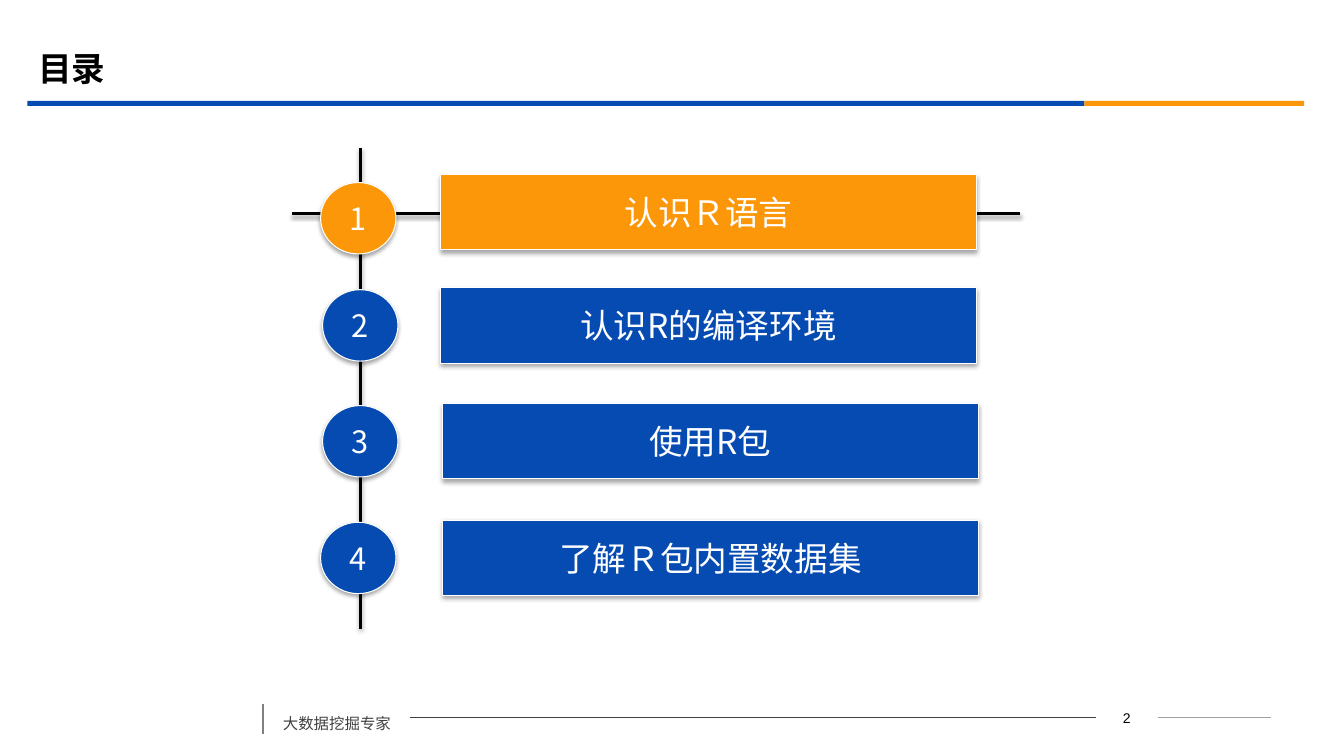
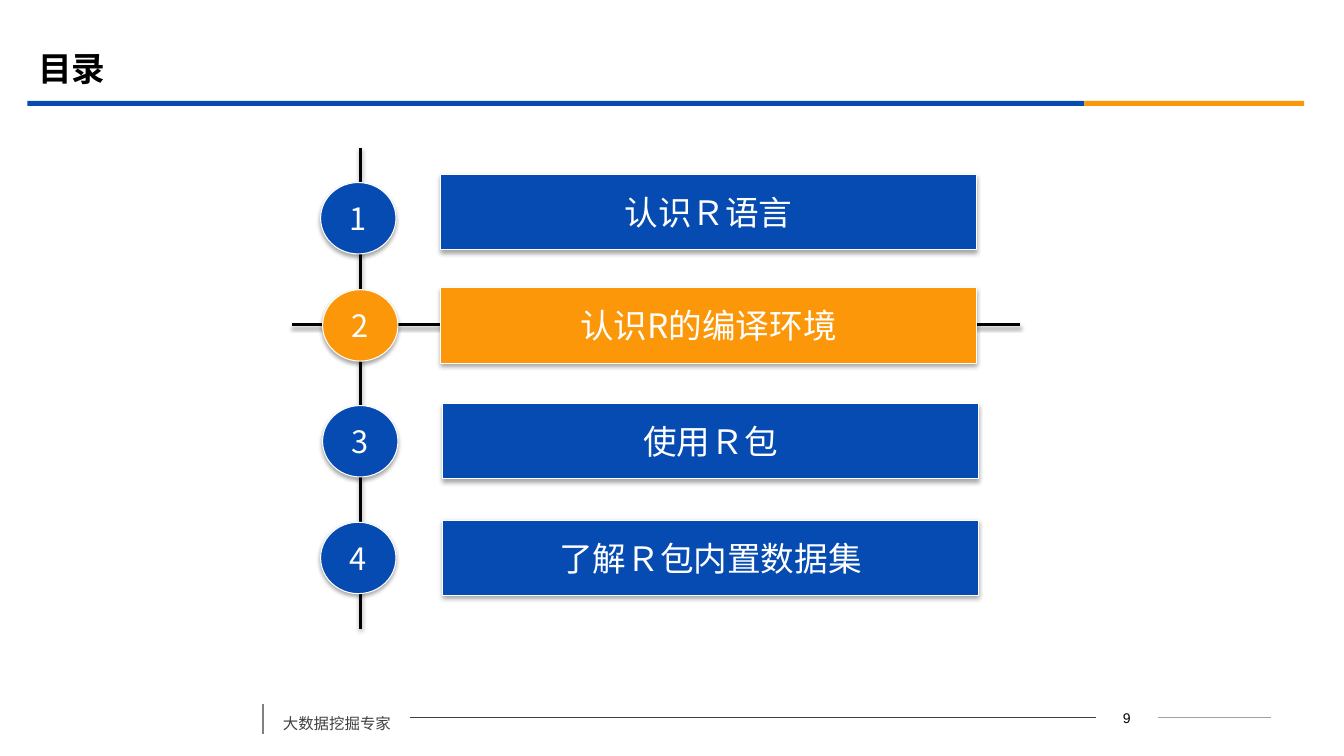
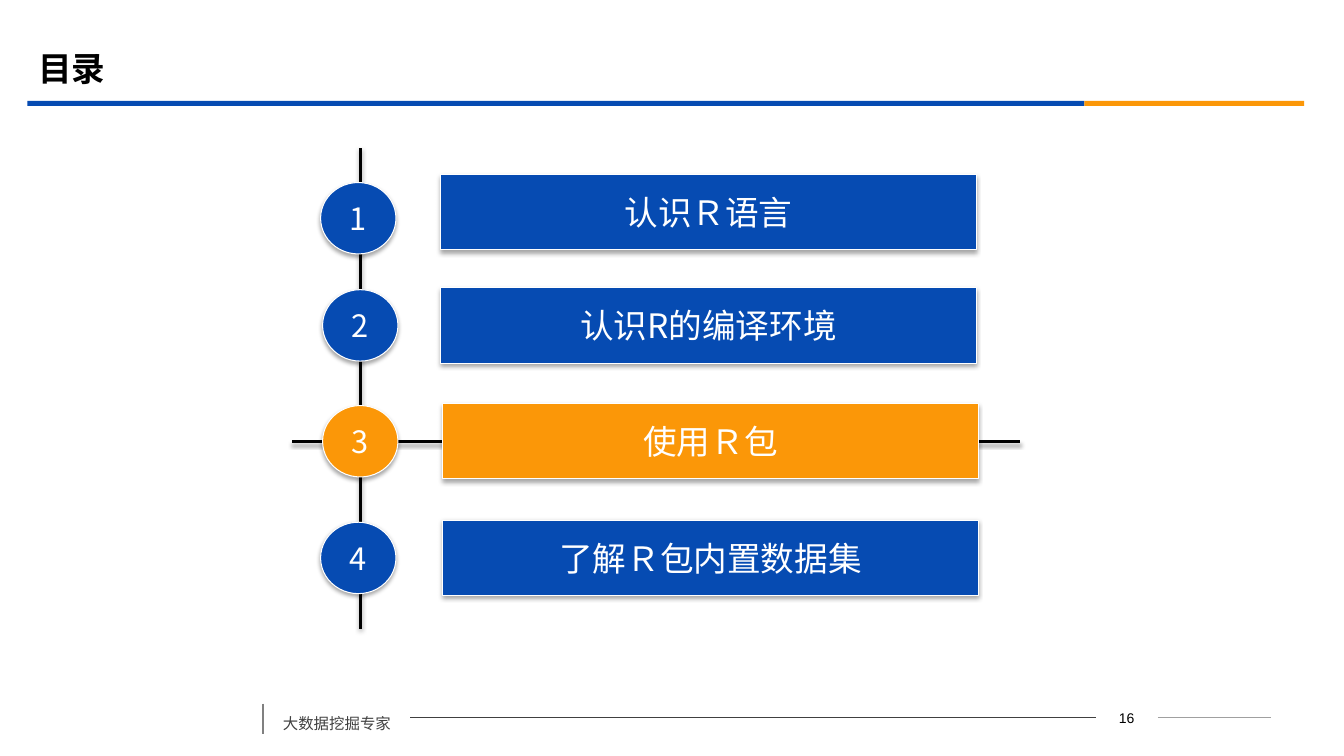
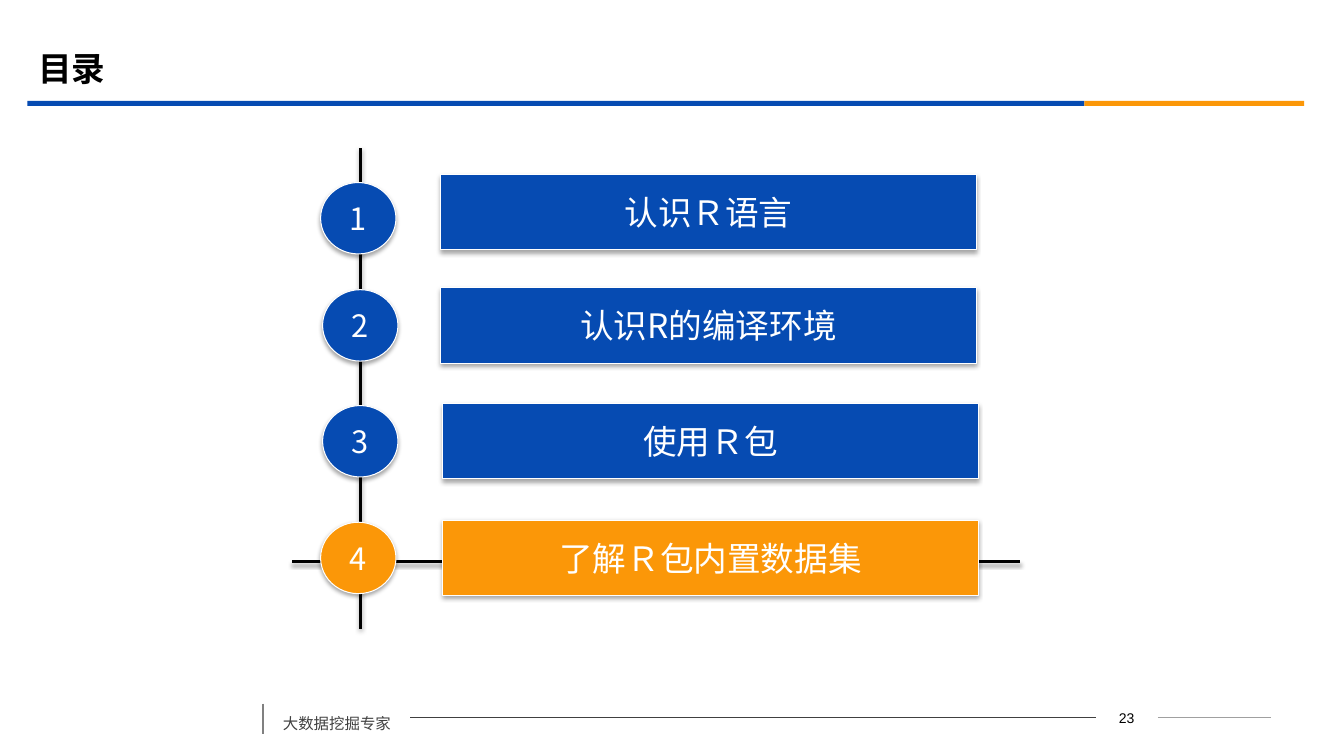
from lxml import etree
from pptx import Presentation
from pptx.dml.color import RGBColor
from pptx.enum.shapes import MSO_CONNECTOR, MSO_SHAPE
from pptx.enum.text import MSO_ANCHOR, MSO_AUTO_SIZE, PP_ALIGN
from pptx.oxml.ns import qn
from pptx.util import Cm, Pt

STRAIGHT = MSO_CONNECTOR.STRAIGHT
RECTANGLE = MSO_SHAPE.RECTANGLE
OVAL = MSO_SHAPE.OVAL
BUTTON = MSO_SHAPE.ACTION_BUTTON_CUSTOM
MIDDLE = MSO_ANCHOR.MIDDLE
LEFT = PP_ALIGN.LEFT
CENTER = PP_ALIGN.CENTER
FIT_SHAPE = MSO_AUTO_SIZE.SHAPE_TO_FIT_TEXT

BLUE, ORANGE, WHITE, BLACK = "064BB2", "FB9708", "FFFFFF", "000000"
DARK_GRAY, MID_GRAY, LIGHT_GRAY = "404040", "808080", "A0A0A0"
CHINESE_FONT = "Noto Sans CJK SC"
color = RGBColor.from_string


def write_text(shape, text, size, text_color, alignment, font_name=CHINESE_FONT):
    paragraph = shape.text_frame.paragraphs[0]
    paragraph.text = text
    paragraph.alignment = alignment
    font = paragraph.font
    font.size = Pt(size)
    font.color.rgb = color(text_color)
    font.name = font_name
    properties = paragraph._p.get_or_add_pPr().get_or_add_defRPr()
    etree.SubElement(properties, qn("a:ea"), typeface=font_name)
    return paragraph


def set_shadow(shape, opacity=0, distance=0):
    effects = etree.SubElement(shape._element.spPr, qn("a:effectLst"))
    if opacity:
        shadow = etree.SubElement(
            effects, qn("a:outerShdw"), blurRad=str(Pt(3.1)), dist=str(Pt(distance)),
            dir="5400000", rotWithShape="0")
        shadow_color = etree.SubElement(shadow, qn("a:srgbClr"), val=BLACK)
        etree.SubElement(shadow_color, qn("a:alpha"), val=str(opacity * 1000))


title_bands = [(0.69, 26.64, BLUE), (27.33, 5.54, ORANGE)]
footer_lines = [
    (29.18, 18.08, 32.03, 18.08, LIGHT_GRAY, 0.75),
    (10.34, 18.08, 27.61, 18.08, DARK_GRAY, 0.75),
    (6.63, 17.73, 6.63, 18.49, MID_GRAY, 1.25),
]
chapters = [
    ("认识Ｒ语言", 8.08, 4.6, 11.11, 4.4, 5.38),
    ("认识R的编译环境", 8.13, 7.3, 11.11, 7.25, 8.18),
    ("使用Ｒ包", 8.13, 10.22, 11.16, 10.17, 11.13),
    ("了解Ｒ包内置数据集", 8.08, 13.16, 11.16, 13.11, 14.15),
]
page_numbers = [2, 9, 16, 23]

presentation = Presentation()
presentation.slide_width = Cm(33.87)
presentation.slide_height = Cm(19.05)
title_only = presentation.slide_layouts[5]

for current, page_number in enumerate(page_numbers):
    slide = presentation.slides.add_slide(title_only)
    shapes = slide.shapes

    title = shapes.title
    title.left, title.top, title.width, title.height = Cm(0.71), Cm(0.99), Cm(30.48), Cm(1.47)
    title.text_frame.vertical_anchor = MIDDLE
    write_text(title, "目录", 24, BLACK, LEFT).font.bold = True

    for left, width, band_color in title_bands:
        band = shapes.add_shape(RECTANGLE, Cm(left), Cm(2.54), Cm(width), Cm(0.13))
        band.shadow.inherit = False
        band.fill.solid()
        band.fill.fore_color.rgb = color(band_color)
        band.line.fill.background()

    number_box = shapes.add_textbox(Cm(27.61), Cm(17.75), Cm(1.57), Cm(0.64))
    number_box.text_frame.word_wrap = True
    write_text(number_box, str(page_number), 10, BLACK, CENTER, "Arial")

    footer = shapes.add_textbox(Cm(6.88), Cm(17.63), Cm(3.45), Cm(0.97))
    footer.text_frame.word_wrap = True
    footer.text_frame.auto_size = FIT_SHAPE
    footer_paragraph = write_text(footer, "大数据挖掘专家", 11, DARK_GRAY, LEFT)
    footer_paragraph.line_spacing = 1.5
    footer_paragraph.space_before = Pt(6)

    highlight_y = chapters[current][-1]
    axis_lines = [
        (9.08, 3.73, 9.08, 15.85, BLACK, 2),
        (7.37, highlight_y, 25.7, highlight_y, BLACK, 2),
    ]
    for x1, y1, x2, y2, line_color, weight in footer_lines + axis_lines:
        connector = shapes.add_connector(STRAIGHT, Cm(x1), Cm(y1), Cm(x2), Cm(y2))
        connector.line.color.rgb = color(line_color)
        connector.line.width = Pt(weight)
        set_shadow(connector, 38 if weight == 2 else 0, 1.6)

    for index, (label, circle_left, circle_top, bar_left, bar_top, _) in enumerate(chapters):
        if current == 0 and index == 2:
            label = "使用R包"
        parts = [
            (BUTTON, bar_left, bar_top, 13.49, 1.9, label, 24),
            (OVAL, circle_left, circle_top, 1.9, 1.8, str(index + 1), 22),
        ]
        for kind, left, top, width, height, text, size in parts:
            shape = shapes.add_shape(kind, Cm(left), Cm(top), Cm(width), Cm(height))
            shape.fill.solid()
            shape.fill.fore_color.rgb = color(ORANGE if index == current else BLUE)
            shape.line.color.rgb = color(WHITE)
            shape.line.width = Pt(0.75)
            set_shadow(shape, 35, 1.8)
            shape.text_frame.word_wrap = False
            shape.text_frame.vertical_anchor = MIDDLE
            write_text(shape, text, size, WHITE, CENTER)

presentation.save("out.pptx")
